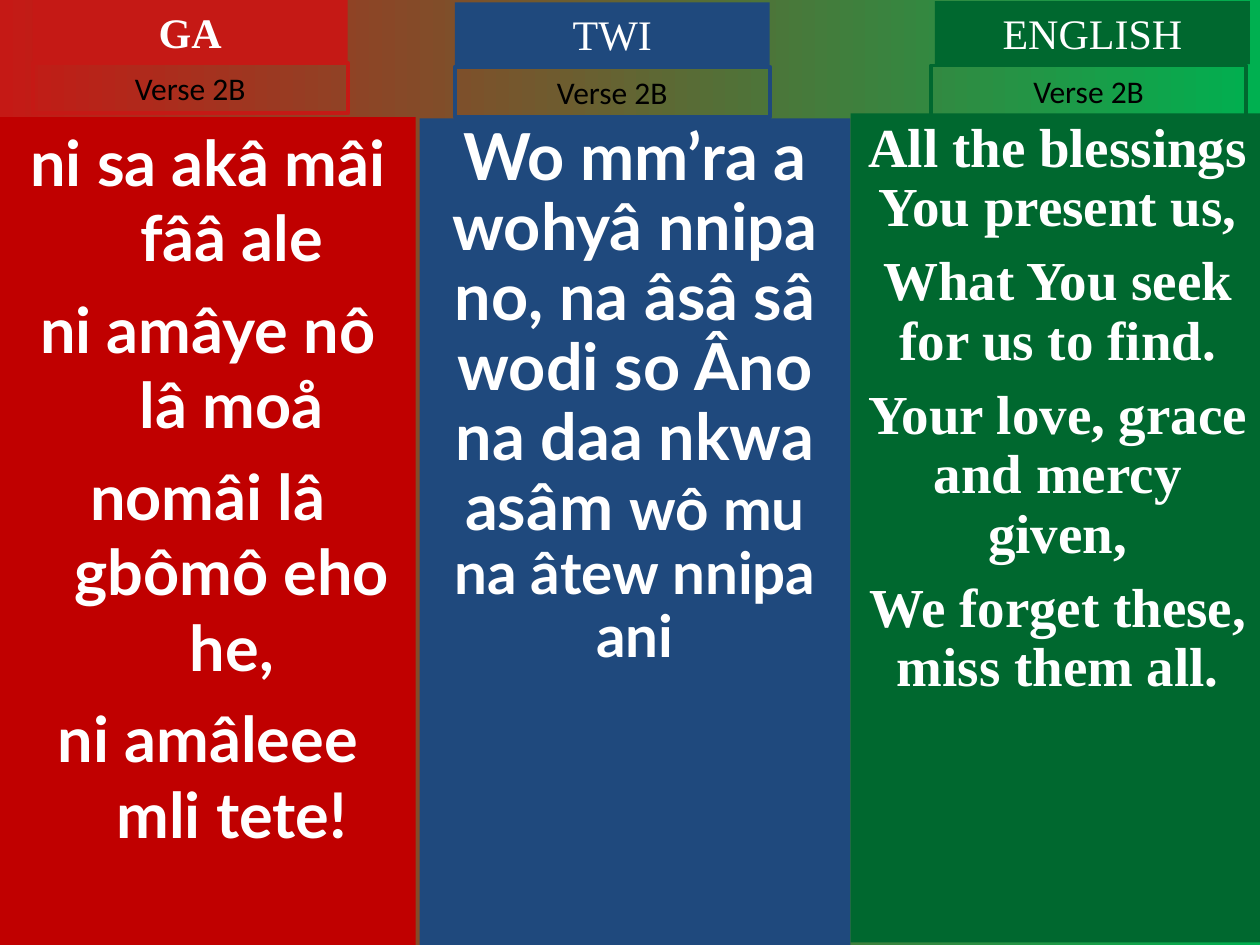
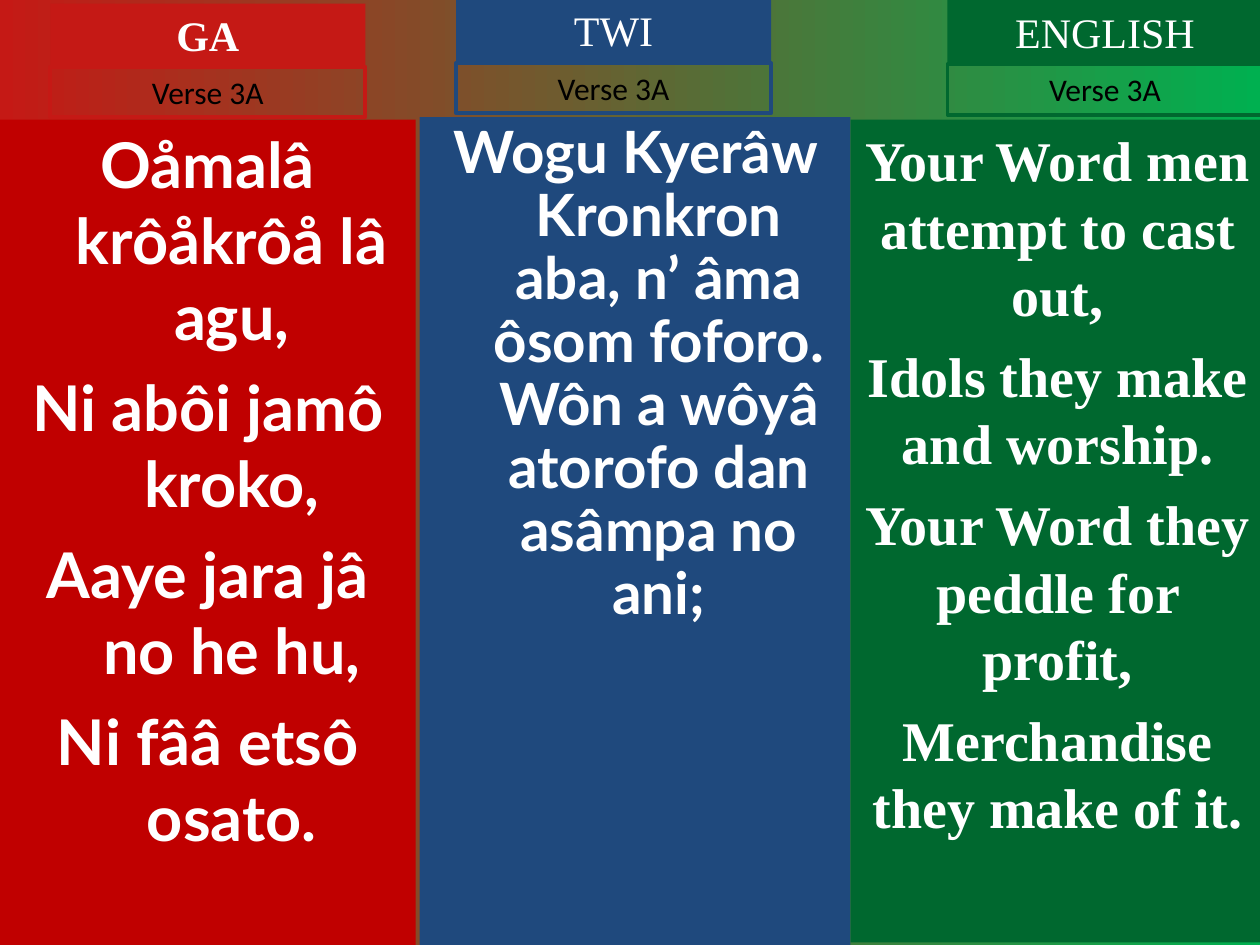
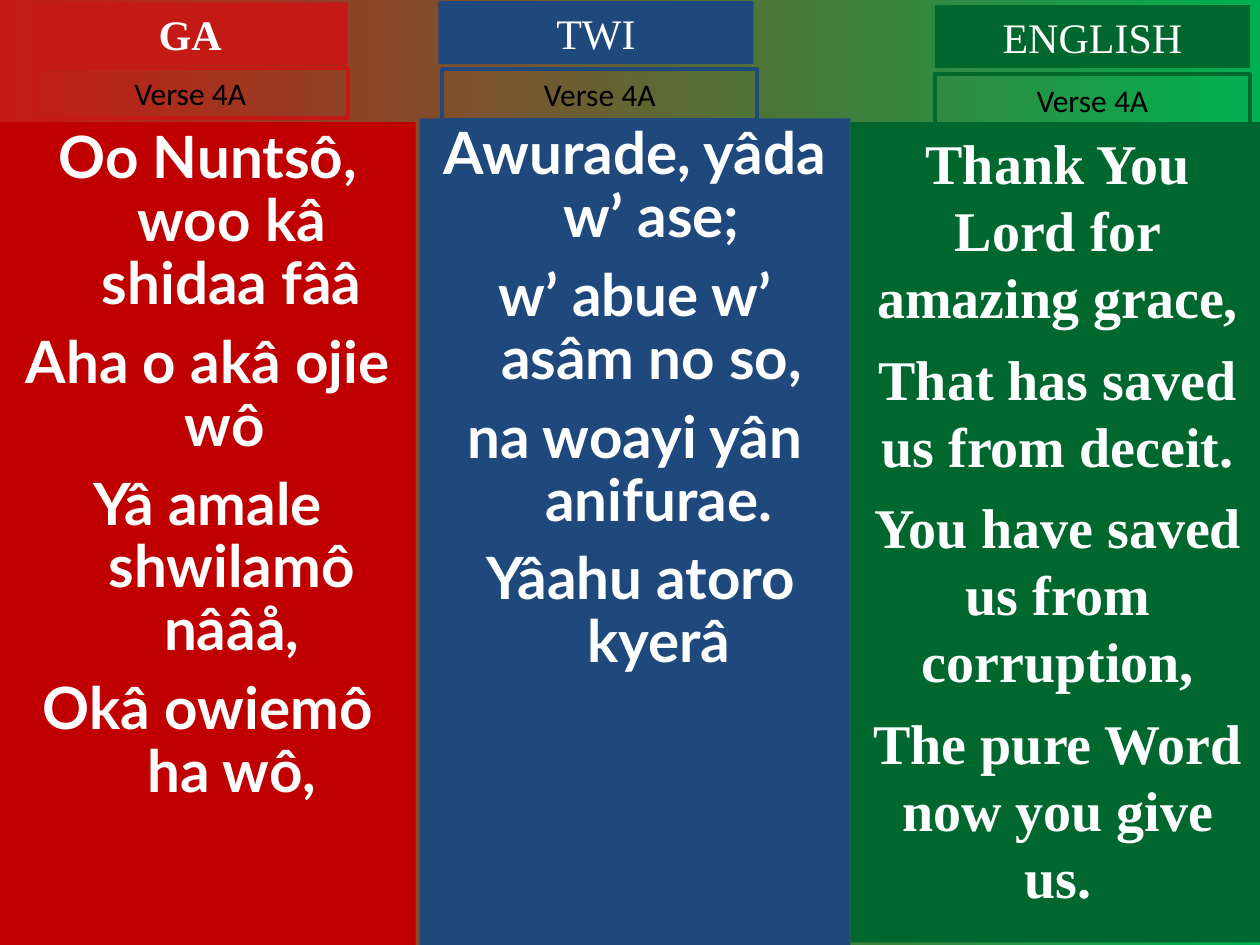
from pptx import Presentation
from pptx.dml.color import RGBColor
from pptx.enum.shapes import MSO_SHAPE
from pptx.enum.text import MSO_ANCHOR, MSO_AUTO_SIZE, PP_ALIGN
from pptx.util import Inches, Pt

RECTANGLE = MSO_SHAPE.RECTANGLE
TOP = MSO_ANCHOR.TOP
CENTER = PP_ALIGN.CENTER
FIT_SHAPE = MSO_AUTO_SIZE.SHAPE_TO_FIT_TEXT
NO_FIT = MSO_AUTO_SIZE.NONE

COLORS = {
    "red": "C51915", "deep red": "C00000", "blue": "1F497D",
    "green": "00682F", "bright green": "00B050",
    "white": "FFFFFF", "black": "000000",
}

# Shared look of the three language columns
HEAD_WIDTH, TITLE_HEIGHT, VERSE_HEIGHT = 2.5, 0.5, 0.4
HANGING = 0.38
COLUMNS = {
    "GA": dict(left=0, width=3.3, bottom=7.5, panel="deep red", accent="red",
               title_bold=True, font="Lato", space=9),
    "TWI": dict(left=3.33, width=3.42, bottom=7.5, panel="blue", accent="blue",
                title_bold=False, font="Lato", space=9),
    "ENGLISH": dict(left=6.75, width=3.29, bottom=7.48, panel="green", accent="green",
                    title_bold=False, font="Times New Roman", space=8),
}

# Verses: title and verse hold (left, top); a line is a string or (text, size) runs
SLIDES = [
    ("Verse 2B", {
        "GA": dict(
            title=(0.26, 0), verse=(0.26, 0.5), panel_top=0.93, size=36, hanging=HANGING,
            lines=["ni sa akâ mâi fââ ale", "ni amâye nô lâ moå",
                   "nomâi lâ gbômô eho he,", "ni amâleee mli tete!"]),
        "TWI": dict(
            title=(3.61, 0.02), verse=(3.61, 0.53), panel_top=0.94, size=37, spacing=0.9,
            lines=[[("Wo mm’ra a wohyâ nnipa no, na âsâ sâ wodi so Âno na daa nkwa asâm ", 37),
                    ("wô mu na âtew nnipa ani", 33.3)]]),
        "ENGLISH": dict(
            title=(7.42, 0.01), verse=(7.39, 0.52), panel_top=0.9, size=31.4, spacing=0.9,
            space=8.5,
            lines=["All the blessings You present us,", "What You seek for us to find.",
                   "Your love, grace and mercy given,", "We forget these, miss them all."]),
    }),
    ("Verse 3A", {
        "GA": dict(
            title=(0.4, 0.03), verse=(0.4, 0.53), panel_top=0.95, size=36, hanging=HANGING,
            lines=["Oåmalâ krôåkrôå lâ agu,", "Ni abôi jamô kroko,",
                   "Aaye jara jâ no he hu,", "Ni fââ etsô osato."]),
        "TWI": dict(
            title=(3.62, -0.01), verse=(3.62, 0.5), panel_top=0.93, size=33.3, spacing=0.9,
            hanging=HANGING,
            lines=["Wogu Kyerâw Kronkron aba, n’ âma ôsom foforo. "
                   "Wôn a wôyâ atorofo dan asâmpa no ani;"]),
        "ENGLISH": dict(
            title=(7.52, 0), verse=(7.52, 0.51), panel_top=0.95, size=32,
            lines=["Your Word men attempt to cast out,", "Idols they make and worship.",
                   "Your Word they peddle for profit,", "Merchandise they make of it."]),
    }),
    ("Verse 4A", {
        "GA": dict(
            title=(0.26, 0.02), verse=(0.26, 0.54), panel_top=0.97, size=33.3, spacing=0.9,
            hanging=HANGING,
            lines=["Oo Nuntsô, woo kâ shidaa fââ", "Aha o akâ ojie wô ",
                   "Yâ amale shwilamô nââå,", "Okâ owiemô ha wô,"]),
        "TWI": dict(
            title=(3.48, 0.01), verse=(3.51, 0.55), panel_top=0.94, size=33.3, spacing=0.9,
            hanging=HANGING,
            lines=["Awurade, yâda w’ ase; ", "w’ abue w’ asâm no so, ",
                   "na woayi yân anifurae.", " Yâahu atoro kyerâ"]),
        "ENGLISH": dict(
            title=(7.42, 0.04), verse=(7.42, 0.59), panel_top=0.97, size=32,
            lines=["Thank You Lord for amazing grace,", "That has saved us from deceit.",
                   "You have saved us from corruption,", "The pure Word now you give us."]),
    }),
]


def color(name):
    return RGBColor.from_string(COLORS[name])


def add_box(slide, left, top, width, height, fill=None, line=None):
    shape = slide.shapes.add_shape(
        RECTANGLE, Inches(left), Inches(top), Inches(width), Inches(height))
    shape.shadow.inherit = False
    if fill:
        shape.fill.solid()
        shape.fill.fore_color.rgb = color(fill)
    else:
        shape.fill.background()
    if line:
        shape.line.color.rgb = color(line)
        shape.line.width = Pt(2.25)
    else:
        shape.line.fill.background()
    return shape


def write(shape, lines, font, size, text_color="white", bold=False, space=0,
          spacing=None, hanging=0, fit=NO_FIT):
    frame = shape.text_frame
    frame.word_wrap = True
    frame.auto_size = fit
    frame.vertical_anchor = TOP
    for index, line in enumerate(lines):
        paragraph = frame.add_paragraph() if index else frame.paragraphs[0]
        paragraph.alignment = CENTER
        paragraph.space_before = Pt(space if index else 0)
        if spacing:
            paragraph.line_spacing = spacing
        if hanging:
            properties = paragraph._p.get_or_add_pPr()
            properties.set("marL", str(Inches(hanging)))
            properties.set("indent", str(Inches(-hanging)))
        for text, run_size in [(line, size)] if isinstance(line, str) else line:
            run = paragraph.add_run()
            run.text = text
            run.font.name = font
            run.font.size = Pt(run_size)
            run.font.bold = bold
            run.font.color.rgb = color(text_color)


def paint_background(slide):
    fill = slide.background.fill
    fill.gradient()
    fill.gradient_angle = 0
    for stop, name in zip(fill.gradient_stops, ("red", "bright green")):
        stop.color.rgb = color(name)


def add_column(slide, language, verse_name, verse):
    column = COLUMNS[language]
    # Lyrics panel
    top = verse["panel_top"]
    panel = add_box(slide, column["left"], top, column["width"],
                    column["bottom"] - top, fill=column["panel"])
    write(panel, verse["lines"], column["font"], verse["size"], bold=True,
          space=verse.get("space", column["space"]),
          spacing=verse.get("spacing"), hanging=verse.get("hanging", 0))
    # Language title
    title = add_box(slide, *verse["title"], HEAD_WIDTH, TITLE_HEIGHT, fill=column["accent"])
    write(title, [language], "Times New Roman", 24, bold=column["title_bold"], fit=FIT_SHAPE)
    # Verse label
    label = add_box(slide, *verse["verse"], HEAD_WIDTH, VERSE_HEIGHT, line=column["accent"])
    write(label, [verse_name], "Calibri", 18, text_color="black", fit=FIT_SHAPE)


def main():
    presentation = Presentation()
    presentation.slide_width = Inches(10)
    presentation.slide_height = Inches(7.5)
    blank = presentation.slide_layouts[6]
    for verse_name, verses in SLIDES:
        slide = presentation.slides.add_slide(blank)
        paint_background(slide)
        for language, verse in verses.items():
            add_column(slide, language, verse_name, verse)
    presentation.save("out.pptx")


if __name__ == "__main__":
    main()
